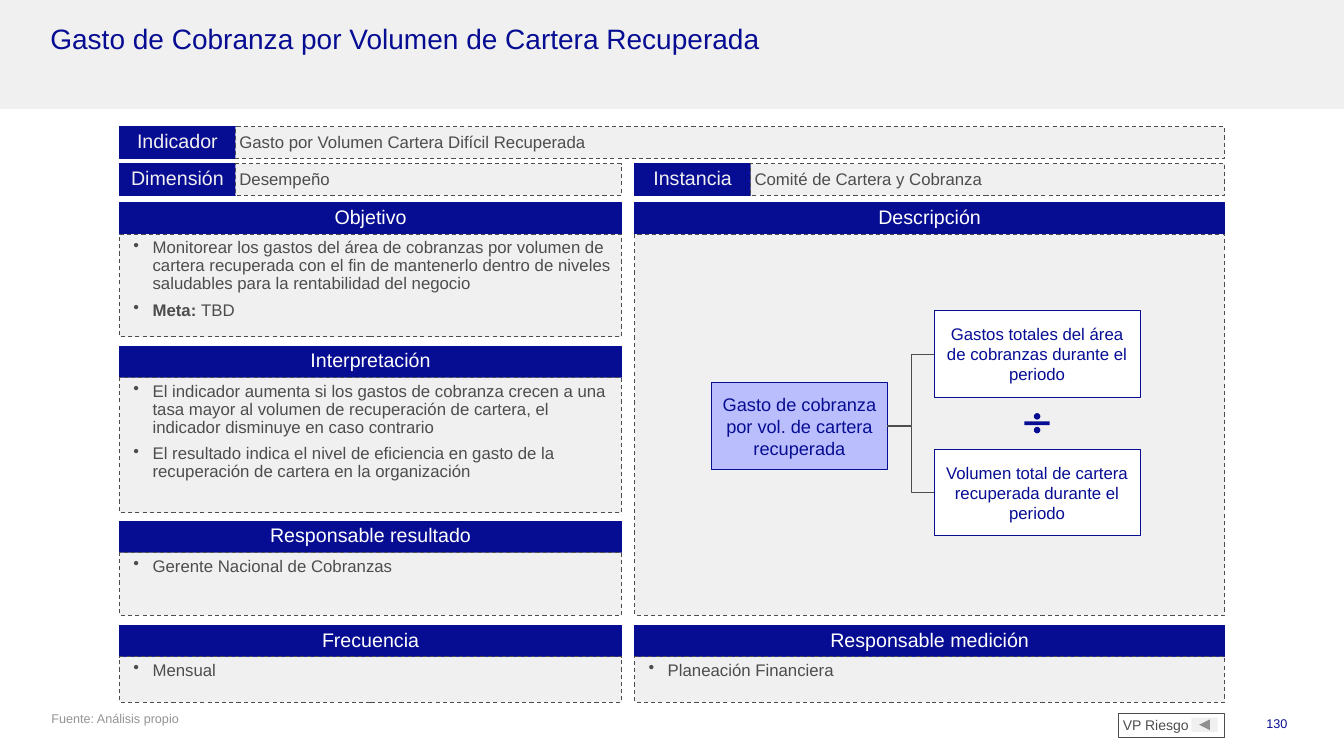
"""Builds the indicator sheet for collection expense per recovered portfolio volume."""
from dataclasses import dataclass

from lxml import etree
from pptx import Presentation
from pptx import util as u
from pptx.dml import color
from pptx.enum import dml, shapes, text
from pptx.oxml import ns


@dataclass(frozen=True)
class Theme:
    font: str = "Arial"
    navy: str = "070D93"
    lilac: str = "BBBEFC"
    pale: str = "F0F0F0"
    white: str = "FFFFFF"
    ink: str = "4D4D4D"
    muted: str = "949494"
    title: int = 20
    heading: int = 14
    result: int = 13
    body: int = 12
    link: int = 10
    small: int = 9


theme = Theme()
Shape, Align, Anchor = shapes.MSO_SHAPE, text.PP_ALIGN, text.MSO_ANCHOR
tight = dict(line_spacing=0.9, space_before=u.Pt(3), space_after=u.Pt(3))
heading_format = dict(tight, alignment=Align.CENTER)
slim, regular = (2.9, 3.6, 2.9, 3.6), (7.2, 3.6, 7.2, 3.6)


def add_box(at, fill=None, line=None, weight=0.75, dash=False, kind=Shape.RECTANGLE):
    box = slide.shapes.add_shape(kind, *map(u.Pt, at))
    box.shadow.inherit = False
    if fill:
        box.fill.solid()
        box.fill.fore_color.rgb = color.RGBColor.from_string(fill)
    else:
        box.fill.background()
    if line:
        box.line.color.rgb = color.RGBColor.from_string(line)
        box.line.width = u.Pt(weight)
        if dash:
            box.line.dash_style = dml.MSO_LINE.DASH
    else:
        box.line.fill.background()
    return box


def write(box, paragraphs, size, ink, layout, anchor=Anchor.TOP, margins=slim, bullet=False):
    frame = box.text_frame
    left, top, right, bottom = map(u.Pt, margins)
    frame_format = dict(word_wrap=True, vertical_anchor=anchor, margin_left=left,
                        margin_top=top, margin_right=right, margin_bottom=bottom)
    for name, value in frame_format.items():
        setattr(frame, name, value)
    for index, (lead, rest) in enumerate(paragraphs):
        paragraph = frame.add_paragraph() if index else frame.paragraphs[0]
        for name, value in {"alignment": Align.LEFT, **layout}.items():
            setattr(paragraph, name, value)
        if bullet:
            properties = paragraph._p.get_or_add_pPr()
            properties.set("marL", str(u.Pt(20.7)))
            properties.set("indent", str(u.Pt(-13.7)))
            bullet_color = etree.SubElement(properties, ns.qn("a:buClr"))
            etree.SubElement(bullet_color, ns.qn("a:srgbClr"), val=ink)
            etree.SubElement(properties, ns.qn("a:buChar"), char="•")
        for words, bold in ((lead, True), (rest, False)):
            if words:
                run = paragraph.add_run()
                run.text = words
                for name, value in dict(name=theme.font, size=u.Pt(size), bold=bold).items():
                    setattr(run.font, name, value)
                run.font.color.rgb = color.RGBColor.from_string(ink)


deck = Presentation()
deck.slide_width, deck.slide_height = u.Pt(960), u.Pt(540)
slide = deck.slides.add_slide(deck.slide_layouts[6])

add_box((0, 0, 960, 77.8), theme.pale)

captions = [
    ((846.7, 507.6, 79.9, 28.8), "130", theme.small, theme.navy,
     dict(alignment=Align.RIGHT), regular),
    ((33.8, 507.6, 793.4, 28.8), "Fuente: Análisis propio", theme.small, theme.muted,
     {}, (2.9, 0, 2.9, 2.9)),
    ((33.1, 14.4, 892.8, 49.7), "Gasto de Cobranza por Volumen de Cartera Recuperada",
     theme.title, theme.navy, tight, slim),
]
for at, words, size, ink, layout, margins in captions:
    caption = slide.shapes.add_textbox(*map(u.Pt, at))
    write(caption, [("", words)], size, ink, layout, margins=margins)

left_column, right_column = (85.4, 358.6), (453.4, 421.4)
sheet_width = sum(right_column) - left_column[0]
bar_height, label_width = 22.5, 82.7

fields = [
    (left_column[0], sheet_width, 90.7, "Indicador",
     "Gasto por Volumen Cartera Difícil Recuperada"),
    (*left_column, 117, "Dimensión", "Desempeño"),
    (*right_column, 117, "Instancia", "Comité de Cartera y Cobranza"),
]
for left, width, top, label, answer in fields:
    label_box = add_box((left, top, label_width, bar_height), theme.navy, theme.navy)
    write(label_box, [("", label)], theme.heading, theme.pale, heading_format)
    answer_box = add_box((left + label_width, top, width - label_width, bar_height),
                         theme.pale, theme.ink, dash=True)
    write(answer_box, [("", answer)], theme.body, theme.ink, tight, Anchor.MIDDLE)

sections = [
    (left_column, 144.7, 73.4, "Objetivo", [
        ("", "Monitorear los gastos del área de cobranzas por volumen de cartera recuperada "
             "con el fin de mantenerlo dentro de niveles saludables para la rentabilidad "
             "del negocio"),
        ("Meta: ", "TBD")]),
    (left_column, 247.2, 96.5, "Interpretación", [
        ("", "El indicador aumenta si los gastos de cobranza crecen a una tasa mayor al "
             "volumen de recuperación de cartera, el indicador disminuye en caso contrario"),
        ("", "El resultado indica el nivel de eficiencia en gasto de la recuperación de "
             "cartera en la organización")]),
    (left_column, 372.2, 44.8, "Responsable resultado",
     [("", "Gerente Nacional de Cobranzas")]),
    (left_column, 446.7, 32.4, "Frecuencia", [("", "Mensual")]),
    (right_column, 144.7, 272.3, "Descripción", []),
    (right_column, 446.7, 32.4, "Responsable medición", [("", "Planeación Financiera")]),
]
for (left, width), top, height, heading, points in sections:
    heading_bar = add_box((left, top, width, bar_height), theme.navy, theme.navy)
    write(heading_bar, [("", heading)], theme.heading, theme.white, heading_format)
    panel = add_box((left, top + bar_height, width, height), theme.pale, theme.ink, dash=True)
    write(panel, points, theme.body, theme.ink, tight, bullet=True)

formula = [
    ((508.1, 273.2, 125.8, 62), theme.lilac, theme.result,
     "Gasto de cobranza por vol. de cartera recuperada"),
    ((667.4, 221.8, 146.9, 62), theme.white, theme.body,
     "Gastos totales del área de cobranzas durante el periodo"),
    ((667.4, 321.1, 146.9, 61.4), theme.white, theme.body,
     "Volumen total de cartera recuperada durante el periodo"),
]
terms = []
for at, fill, size, words in formula:
    term = add_box(at, fill, theme.navy, 0.5)
    write(term, [("", words)], size, theme.navy, dict(alignment=Align.CENTER),
          Anchor.MIDDLE, regular)
    terms.append(term)

division = add_box((728.6, 289.4, 24.5, 25.9), theme.navy, kind=Shape.MATH_DIVIDE)
for index, ratio in enumerate((0.1, 0.05, 0.09)):
    division.adjustments[index] = ratio

ratio_term, *operands = terms
for operand in operands:
    branch = slide.shapes.add_connector(shapes.MSO_CONNECTOR.ELBOW, 0, 0, 0, 0)
    branch.begin_connect(ratio_term, 3)
    branch.end_connect(operand, 1)
    branch.line.color.rgb = color.RGBColor.from_string(theme.ink)
    branch.line.width = u.Pt(0.5)
    etree.SubElement(branch._element.spPr, ns.qn("a:effectLst"))

back_button = add_box((851, 512.6, 18.7, 10.1), theme.pale,
                      kind=Shape.ACTION_BUTTON_FORWARD_OR_NEXT)
back_button.rotation = 180
area_box = add_box((799.2, 509.6, 75.6, 17.4), line=theme.ink)
write(area_box, [("", "VP Riesgo")], theme.link, theme.ink, tight)

deck.save("out.pptx")
